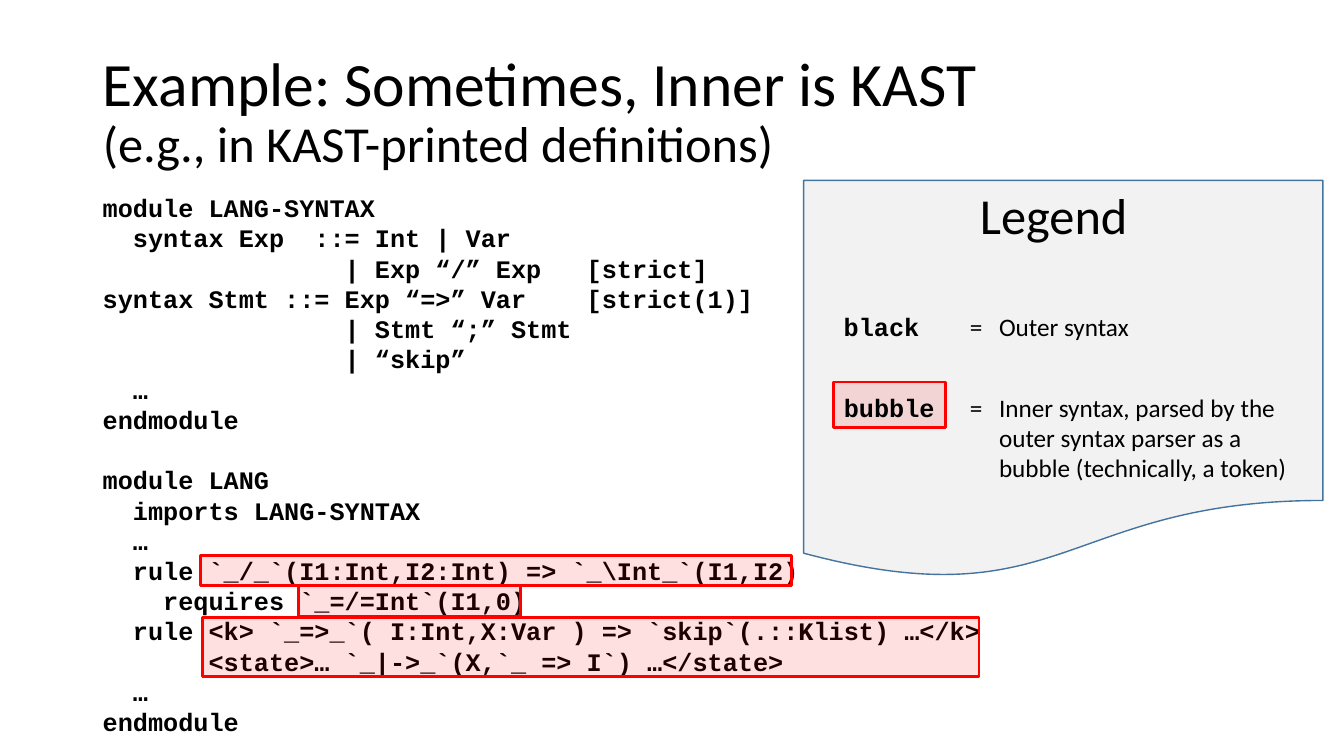
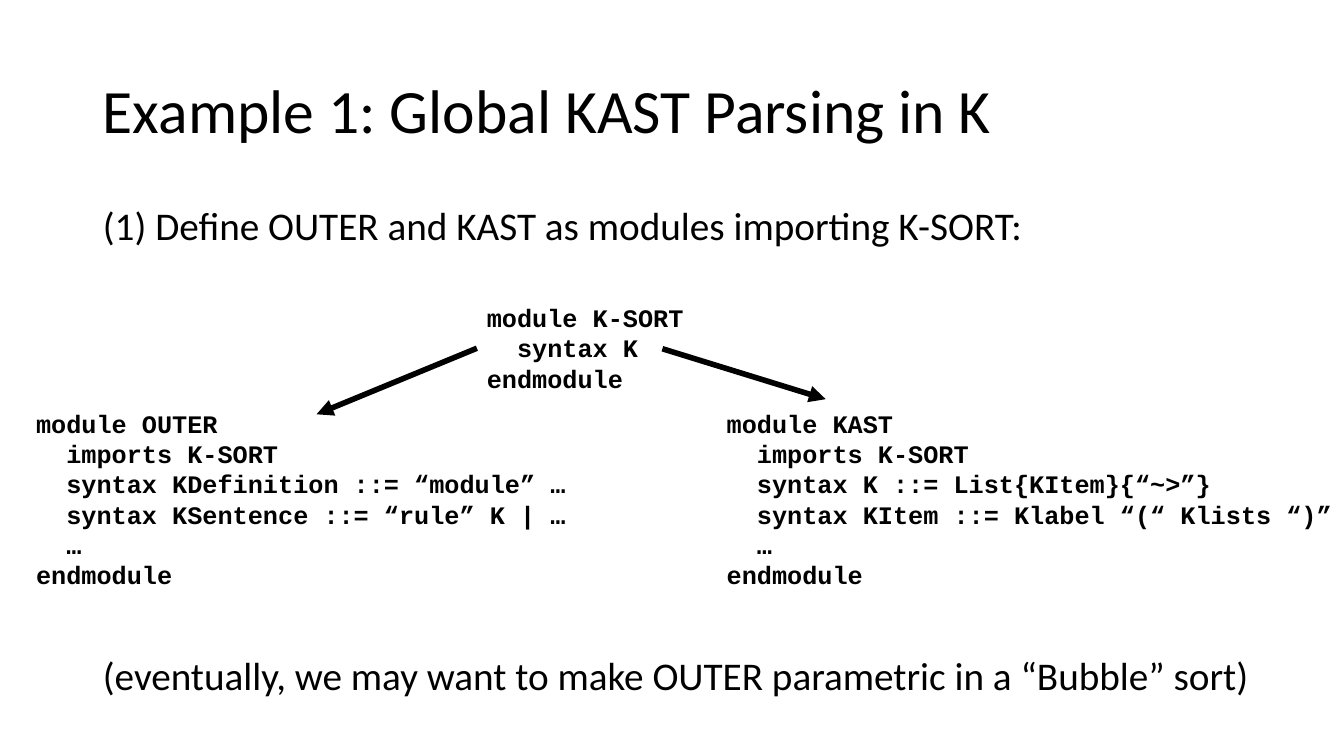
"""Two slides on parsing KAST syntax in K."""
from pptx import Presentation
from pptx import util as u
from pptx.dml.color import RGBColor
from pptx.enum import shapes, text
from pptx.oxml.ns import qn
from lxml import etree

PX = 9144
BLACK, RED, PAPER, BLUE = "000000", "FF0000", "F2F2F2", "43739E"
SANS, MONO = "Calibri", "Courier New"
CODE_LINE = 21.6

LANG = r"""module LANG-SYNTAX
  syntax Exp  ::= Int | Var
                | Exp “/” Exp   [strict]
syntax Stmt ::= Exp “=>” Var    [strict(1)]
                | Stmt “;” Stmt
                | “skip”
  …
endmodule

module LANG
  imports LANG-SYNTAX
  …
  rule `_/_`(I1:Int,I2:Int) => `_\Int_`(I1,I2)
    requires `_=/=Int`(I1,0)
  rule <k> `_=>_`( I:Int,X:Var ) => `skip`(.::Klist) …</k>
       <state>… `_|->_`(X,`_ => I`) …</state>
  …
endmodule"""

K_SORT = """module K-SORT
  syntax K
endmodule"""

KAST = """module KAST
  imports K-SORT
  syntax K ::= List{KItem}{“~>”}
  syntax KItem ::= Klabel “(“ Klists “)”
  …
endmodule"""

OUTER = """module OUTER
  imports K-SORT
  syntax KDefinition ::= “module” …
  syntax KSentence ::= “rule” K | …
  …
endmodule"""


def px(*lengths):
    return [u.Emu(length * PX) for length in lengths]


def color(value):
    return RGBColor.from_string(value)


def style(font, size, name=SANS, bold=False):
    font.size, font.name, font.bold = u.Pt(size), name, bold
    font.color.rgb = color(BLACK)


def place(shape, left, top, width, height):
    shape.left, shape.top, shape.width, shape.height = px(left, top, width, height)


def add_title(slide, main, detail=None):
    title = slide.shapes.title
    place(title, 92, 40, 1150, 145)
    frame = title.text_frame
    frame.auto_size = text.MSO_AUTO_SIZE.NONE
    frame.vertical_anchor = text.MSO_ANCHOR.MIDDLE
    heading = frame.paragraphs[0]
    heading.alignment, heading.line_spacing = text.PP_ALIGN.LEFT, 0.9
    heading.add_run().text = main
    style(heading.font, 44)
    if detail:
        heading.add_line_break()
        subtitle = heading.add_run()
        subtitle.text = detail
        subtitle.font.size = u.Pt(36)


def add_body(slide, lines):
    """Fill the body with unbulleted (text, space before) lines."""
    body = slide.placeholders[1]
    place(body, 92, 200, 1169, 515)
    frame = body.text_frame
    frame.auto_size = text.MSO_AUTO_SIZE.NONE
    for index, (line, gap) in enumerate(lines):
        paragraph = frame.paragraphs[0] if index == 0 else frame.add_paragraph()
        paragraph.text = line
        props = paragraph._p.get_or_add_pPr()
        props.set("marL", "0")
        props.set("indent", "0")
        paragraph.line_spacing, paragraph.space_before = 0.9, u.Pt(gap)
        etree.SubElement(props, qn("a:buNone"))
        style(paragraph.font, 28)


def add_text(slide, box, content, size=18, name=SANS, bold=False, wrap=False):
    """Add a text box; an empty line becomes space before the next one."""
    label = slide.shapes.add_textbox(*px(*box))
    frame = label.text_frame
    frame.word_wrap = wrap
    frame.auto_size = text.MSO_AUTO_SIZE.SHAPE_TO_FIT_TEXT
    paragraph, gap = frame.paragraphs[0], 0
    for index, line in enumerate(content.split("\n")):
        if not line:
            gap = CODE_LINE
            continue
        if index:
            paragraph = frame.add_paragraph()
        paragraph.text = line
        if gap:
            paragraph.space_before, gap = u.Pt(gap), 0
        style(paragraph.font, size, name, bold)
    return label


def add_code(slide, box, content):
    return add_text(slide, box, content, name=MONO, bold=True)


def add_meaning(slide, box, content):
    """Add a legend entry hanging after its equals sign."""
    meaning = add_text(slide, box, "=\t" + content, wrap=True)
    props = meaning.text_frame.paragraphs[0]._p.get_or_add_pPr()
    hang = px(29)[0]
    props.set("marL", str(hang))
    props.set("indent", str(-hang))


def add_panel(slide, kind, box, fill, line, weight, alpha=None):
    panel = slide.shapes.add_shape(kind, *px(*box))
    panel.shadow.inherit = False
    panel.fill.solid()
    panel.fill.fore_color.rgb = color(fill)
    panel.line.color.rgb = color(line)
    panel.line.width = u.Pt(weight)
    if alpha:
        tint = panel.element.spPr.find(qn("a:solidFill")).find(qn("a:srgbClr"))
        etree.SubElement(tint, qn("a:alpha"), val=str(alpha * 1000))


def add_bubble(slide, *box):
    add_panel(slide, shapes.MSO_SHAPE.RECTANGLE, box, RED, RED, 2, alpha=12)


def add_arrow(slide, *ends):
    arrow = slide.shapes.add_connector(shapes.MSO_CONNECTOR.STRAIGHT, *px(*ends))
    arrow.line.color.rgb = color(BLACK)
    arrow.line.width = u.Pt(4)
    etree.SubElement(arrow.line._get_or_add_ln(), qn("a:tailEnd"), type="triangle")
    etree.SubElement(arrow._element.spPr, qn("a:effectLst"))
    return arrow


def build_kast_example(deck):
    slide = deck.slides.add_slide(deck.slide_layouts[5])
    add_title(slide, "Example: Sometimes, Inner is KAST",
              "(e.g., in KAST-printed definitions)")
    add_code(slide, (92, 186, 895, 555), LANG)
    for bubble in ((199, 551, 586, 30), (296, 581, 220, 31), (201, 613, 770, 58)):
        add_bubble(slide, *bubble)

    add_panel(slide, shapes.MSO_SHAPE.FLOWCHART_DOCUMENT, (797, 179, 515, 396),
              PAPER, BLUE, 1)
    add_text(slide, (962, 178, 168, 71), "Legend", size=36)
    add_code(slide, (827, 304, 96, 40), "black")
    add_meaning(slide, (952, 304, 347, 40), "Outer syntax")
    add_bubble(slide, 827, 379, 111, 45)
    add_code(slide, (827, 384, 111, 40), "bubble")
    add_meaning(slide, (952, 384, 347, 101),
                "Inner syntax, parsed by the outer syntax parser as a "
                "bubble (technically, a token)")


def build_global_parsing(deck):
    slide = deck.slides.add_slide(deck.slide_layouts[1])
    add_title(slide, "Example 1: Global KAST Parsing in K")
    add_body(slide, (
        ("(1) Define OUTER and KAST as modules importing K-SORT:", 0),
        ("(eventually, we may want to make OUTER parametric in a “Bubble” sort)", 291),
    ))
    k_sort = add_code(slide, (473, 295, 216, 101), K_SORT)
    add_code(slide, (711, 400, 623, 192), KAST)
    add_code(slide, (26, 400, 548, 192), OUTER)
    add_arrow(slide, 473, 345, 314, 411).begin_connect(k_sort, 1)
    add_arrow(slide, 657, 346, 819, 396)


def main():
    deck = Presentation()
    deck.slide_width, deck.slide_height = px(1333, 750)
    build_kast_example(deck)
    build_global_parsing(deck)
    deck.save("out.pptx")


if __name__ == "__main__":
    main()
